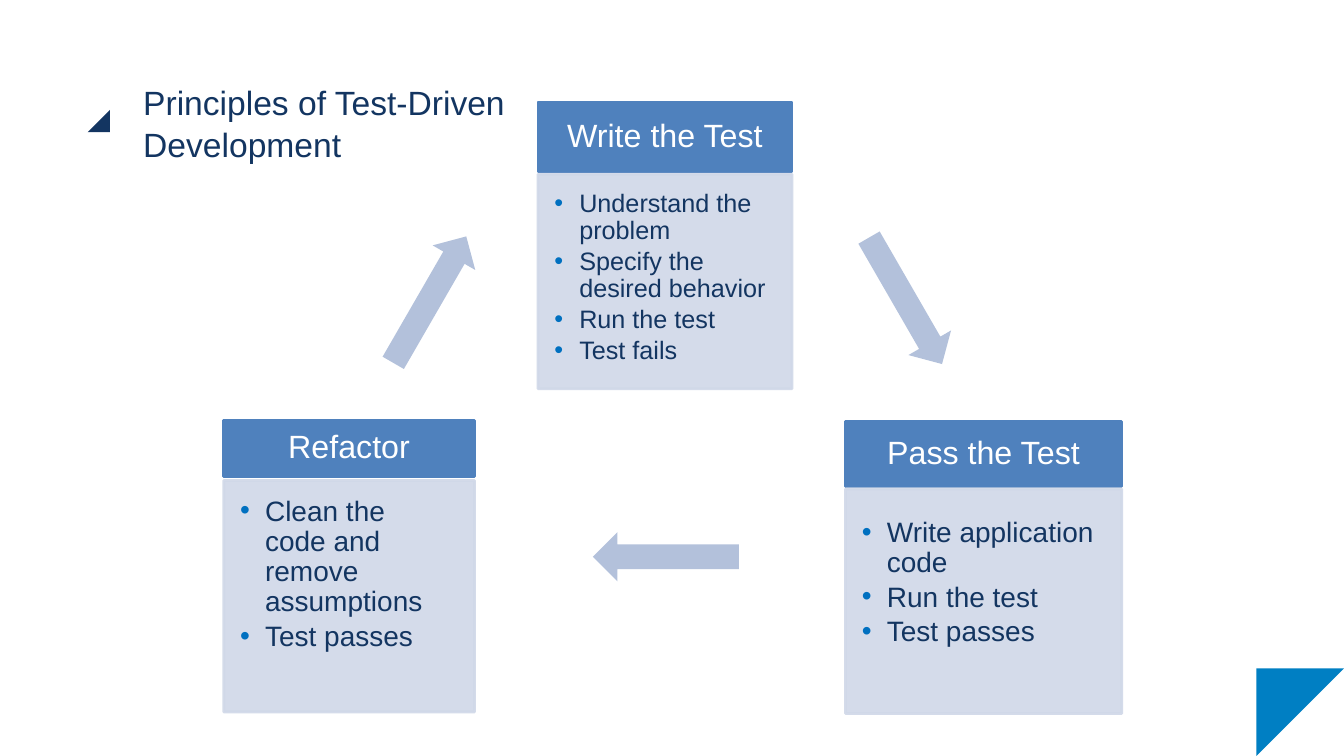
from lxml.etree import SubElement
from pptx import Presentation
from pptx.dml.color import RGBColor
from pptx.enum.shapes import MSO_SHAPE as Preset
from pptx.enum.text import MSO_ANCHOR as Anchor, PP_ALIGN as Align
from pptx.oxml.ns import qn
from pptx.util import Cm, Pt

NAVY, BLUE, CORNER_BLUE = "133561", "4F81BD", "007FC3"
PALE_BLUE, ARROW_BLUE, BULLET_BLUE = "D0D8E8", "B3C1DB", "0070C0"


def colour(hex_string):
    return RGBColor.from_string(hex_string)


def set_margins(frame, left, top, right, bottom):
    frame.word_wrap = True
    frame.margin_left, frame.margin_top = Cm(left), Cm(top)
    frame.margin_right, frame.margin_bottom = Cm(right), Cm(bottom)


def set_font(paragraph, size, hex_string, line_spacing):
    paragraph.line_spacing = line_spacing
    paragraph.font.name = "Arial"
    paragraph.font.size = Pt(size)
    paragraph.font.color.rgb = colour(hex_string)


def add_filled(slide, preset, box, fill, rotation=0, outlined=False):
    shape = slide.shapes.add_shape(preset, *(Cm(length) for length in box))
    shape.shadow.inherit = False
    shape.rotation = rotation
    shape.fill.solid()
    shape.fill.fore_color.rgb = colour(fill)
    if outlined:
        shape.line.color.rgb = colour(fill)
        shape.line.width = Pt(2)
    else:
        shape.line.fill.background()
    return shape


def set_opacity(shape, percent):
    for colour_element in shape._element.spPr.iter(qn("a:srgbClr")):
        SubElement(colour_element, qn("a:alpha"), val=str(percent * 1000))


def add_bullet(paragraph):
    paragraph.alignment = Align.LEFT
    properties = paragraph._p.get_or_add_pPr()
    properties.set("marL", str(Cm(0.63)))
    properties.set("indent", str(-Cm(0.63)))
    bullet_colour = SubElement(properties, qn("a:buClr"))
    SubElement(bullet_colour, qn("a:srgbClr"), val=BULLET_BLUE)
    SubElement(properties, qn("a:buFont"), typeface="Arial")
    SubElement(properties, qn("a:buChar"), char="•")


def add_title(slide, left, top, width, height, text):
    # Small marker to the left of the title
    add_filled(slide, Preset.RIGHT_TRIANGLE,
               (left - 1.4, top + 0.76, 0.56, 0.56), NAVY, rotation=270)
    title = slide.shapes.add_textbox(Cm(left), Cm(top), Cm(width), Cm(height))
    set_margins(title.text_frame, 0, 0, 0, 0)
    title.text_frame.text = text
    paragraph = title.text_frame.paragraphs[0]
    set_font(paragraph, 24, NAVY, 1.05)


def add_step(slide, box, header_height, gap, heading, bullets, size, top_margin=0.41):
    left, top, width, height = box

    # Header
    header = add_filled(slide, Preset.RECTANGLE, (left, top, width, header_height),
                        BLUE, outlined=True)
    frame = header.text_frame
    set_margins(frame, 0.53, 0.3, 0.53, 0.3)
    frame.vertical_anchor = Anchor.MIDDLE
    frame.text = heading
    frame.paragraphs[0].alignment = Align.CENTER
    set_font(frame.paragraphs[0], 23, "FFFFFF", 0.9)

    # Body with bullets
    offset = header_height + gap
    body = add_filled(slide, Preset.RECTANGLE,
                      (left, top + offset, width, height - offset),
                      PALE_BLUE, outlined=True)
    set_opacity(body, 90)
    frame = body.text_frame
    set_margins(frame, 0.41, top_margin, 0.53, 0.61)
    frame.vertical_anchor = Anchor.TOP
    frame.text = "\n".join(bullets)
    for paragraph in frame.paragraphs:
        set_font(paragraph, size, NAVY, 0.9)
        paragraph.space_after = Pt(0.15 * size)
        add_bullet(paragraph)


def add_cycle_arrow(slide, left, top, rotation):
    add_filled(slide, Preset.LEFT_ARROW, (left, top, 3.68, 1.24), ARROW_BLUE, rotation)


def build_cycle_slide(presentation):
    slide = presentation.slides.add_slide(presentation.slide_layouts[6])

    # Corner decoration
    add_filled(slide, Preset.RIGHT_TRIANGLE, (31.66, 16.84, 2.21, 2.21),
               CORNER_BLUE, rotation=90)

    add_title(slide, 3.61, 2.01, 27.41, 3.61,
              "Principles of Test-Driven \vDevelopment")

    # Steps of the cycle
    add_step(slide, (13.56, 2.57, 6.4, 7.23), 1.75, 0.07, "Write the Test",
             ["Understand the problem", "Specify the desired behavior",
              "Run the test", "Test fails"], 18)
    add_step(slide, (21.31, 10.62, 6.96, 7.36), 1.65, 0.05, "Pass the Test",
             ["Write application code", "Run the test", "Test passes"], 20,
             top_margin=0.74)
    add_step(slide, (5.64, 10.59, 6.32, 7.35), 1.42, 0.1, "Refactor",
             ["Clean the code and remove assumptions", "Test passes"], 20)

    # Arrows between the steps
    add_cycle_arrow(slide, 20.98, 6.96, 240)
    add_cycle_arrow(slide, 14.94, 13.41, 0)
    add_cycle_arrow(slide, 8.99, 6.93, 120)


def main():
    presentation = Presentation()
    presentation.slide_width, presentation.slide_height = Cm(33.87), Cm(19.05)
    build_cycle_slide(presentation)
    presentation.save("out.pptx")


if __name__ == "__main__":
    main()
